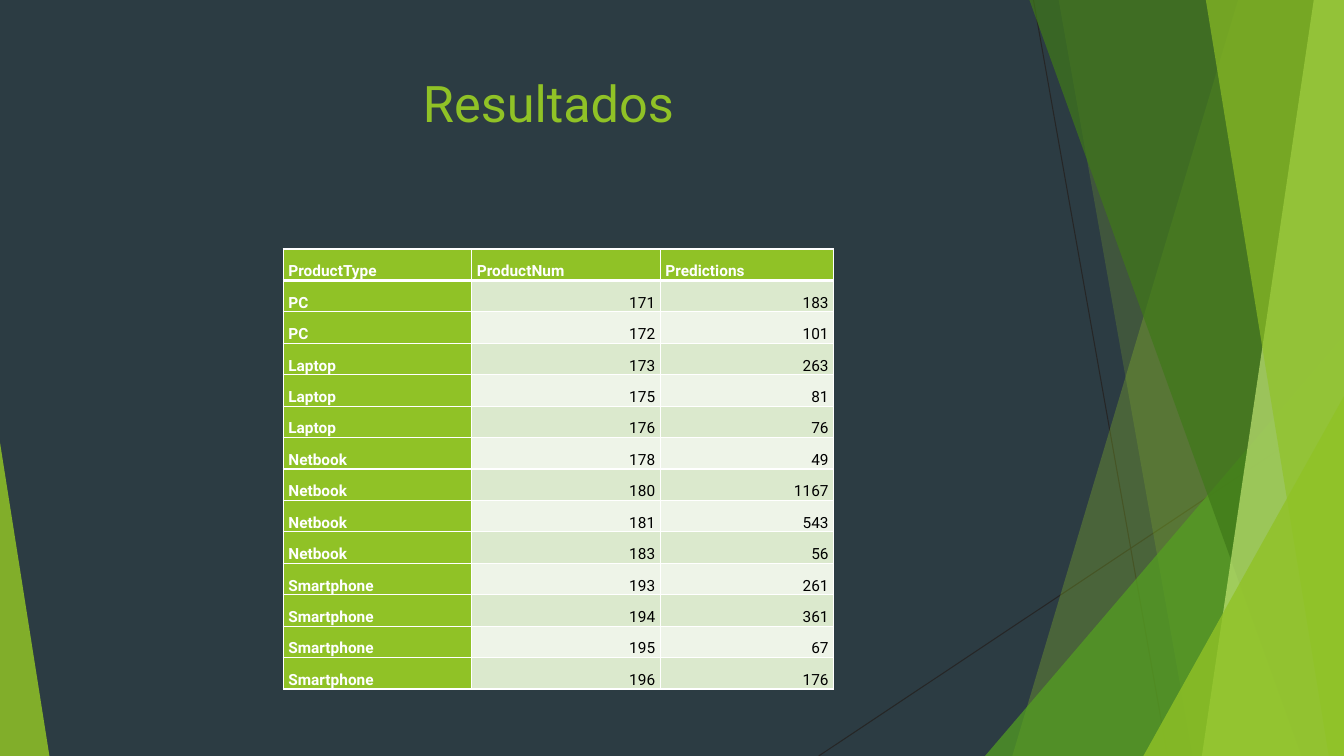
from lxml import etree
from pptx import Presentation
from pptx.dml.color import RGBColor
from pptx.enum.shapes import MSO_CONNECTOR, MSO_SHAPE
from pptx.enum.text import MSO_ANCHOR, PP_ALIGN
from pptx.oxml import parse_xml
from pptx.oxml.ns import nsdecls, qn
from pptx.util import Inches, Pt

WIDTH, HEIGHT = 13.33, 7.5
FONT = "Roboto"
BACKGROUND = RGBColor(0x2C, 0x3C, 0x43)
LIME = RGBColor(0x90, 0xC2, 0x26)
GREEN = RGBColor(0x54, 0xA0, 0x21)
FOREST = RGBColor(0x3F, 0x78, 0x19)
PALE_LIME = RGBColor(0xC0, 0xE4, 0x74)
ROW_TINTS = (RGBColor(0xDB, 0xE9, 0xCD), RGBColor(0xEE, 0xF4, 0xE8))
LINE_GRAY = RGBColor(0x26, 0x26, 0x26)
WHITE = RGBColor(0xFF, 0xFF, 0xFF)
BLACK = RGBColor(0, 0, 0)


def paint(shape, color, opacity):
    """Give a shape a see-through fill without outline or shadow."""
    shape.shadow.inherit = False
    shape.line.fill.background()
    shape.fill.solid()
    shape.fill.fore_color.rgb = color
    color_element = shape.fill._xPr.find(qn("a:solidFill"))[0]
    etree.SubElement(color_element, qn("a:alpha"), val=str(opacity * 1000))


def set_borders(cell, top, bottom):
    """Draw white cell borders; top and bottom are widths in points."""
    sides = (("lnL", 1), ("lnR", 1), ("lnT", top), ("lnB", bottom))
    for position, (side, points) in enumerate(sides):
        cell._tc.get_or_add_tcPr().insert(position, parse_xml(
            f'<a:{side} {nsdecls("a")} w="{Pt(points)}"><a:solidFill>'
            f'<a:srgbClr val="{WHITE}"/></a:solidFill></a:{side}>'))


presentation = Presentation()
presentation.slide_width = Inches(WIDTH)
presentation.slide_height = Inches(HEIGHT)
slide = presentation.slides.add_slide(presentation.slide_layouts[5])
slide.background.fill.solid()
slide.background.fill.fore_color.rgb = BACKGROUND

# Thin lines behind the facets
for ends in ((10.25, 0, 11.58, HEIGHT), (WIDTH, 4.03, 8.12, HEIGHT)):
    connector = slide.shapes.add_connector(
        MSO_CONNECTOR.STRAIGHT, *[Inches(value) for value in ends])
    connector.line.color.rgb = LINE_GRAY
    connector.line.width = Pt(0.75)
    etree.SubElement(connector._element.spPr, qn("a:effectLst"))

# Facets from back to front. A band reaches the right edge: top x, bottom x.
# A triangle stands on the bottom edge: left, top, right, apex share.
facets = (
    ((12.28, 10.04), LIME, 30),
    ((10.5, 11.83), LIME, 20),
    ((9.77, 3.33, WIDTH, 1), GREEN, 72),
    ((10.21, 12.91), FOREST, 70),
    ((13.03, 11.92), PALE_LIME, 70),
    ((11.96, 13.18), LIME, 65),
    ((11.34, 3.93, WIDTH, 1), LIME, 80),
    ((0, 4.39, 0.49, 0), LIME, 85),
)
for geometry, color, opacity in facets:
    if len(geometry) == 2:
        top_x, bottom_x = geometry
        builder = slide.shapes.build_freeform(Inches(top_x), 0)
        corners = ((WIDTH, 0), (WIDTH, HEIGHT), (bottom_x, HEIGHT))
        builder.add_line_segments([(Inches(x), Inches(y)) for x, y in corners])
        facet = builder.convert_to_shape()
    else:
        left, top, right, apex = geometry
        facet = slide.shapes.add_shape(
            MSO_SHAPE.ISOSCELES_TRIANGLE, Inches(left), Inches(top),
            Inches(right - left), Inches(HEIGHT - top))
        facet.adjustments[0] = apex
    paint(facet, color, opacity)

title = slide.shapes.title
title.left, title.top = Inches(0.74), Inches(0.67)
title.width, title.height = Inches(9.4), Inches(1.44)
title.text_frame.text = "Resultados"
title.text_frame.vertical_anchor = MSO_ANCHOR.TOP
paragraph = title.text_frame.paragraphs[0]
paragraph.alignment = PP_ALIGN.CENTER
paragraph.font.name = FONT
paragraph.font.size = Pt(36)
paragraph.font.color.rgb = LIME

rows = (
    ("ProductType", "ProductNum", "Predictions"),
    ("PC", 171, 183),
    ("PC", 172, 101),
    ("Laptop", 173, 263),
    ("Laptop", 175, 81),
    ("Laptop", 176, 76),
    ("Netbook", 178, 49),
    ("Netbook", 180, 1167),
    ("Netbook", 181, 543),
    ("Netbook", 183, 56),
    ("Smartphone", 193, 261),
    ("Smartphone", 194, 361),
    ("Smartphone", 195, 67),
    ("Smartphone", 196, 176),
)
column_widths = (1.87, 1.87, 1.72)
table = slide.shapes.add_table(
    len(rows), len(column_widths), Inches(2.81), Inches(2.47),
    Inches(sum(column_widths)), Inches(4.37)).table
for column, width in zip(table.columns, column_widths):
    column.width = Inches(width)

for row_index, row in enumerate(rows):
    for column_index, value in enumerate(row):
        is_heading = row_index == 0 or column_index == 0
        cell = table.cell(row_index, column_index)
        cell.text = str(value)
        cell.vertical_anchor = MSO_ANCHOR.BOTTOM
        cell.margin_left = cell.margin_right = Inches(0.05)
        cell.margin_top = cell.margin_bottom = 0
        cell.fill.solid()
        cell.fill.fore_color.rgb = LIME if is_heading else ROW_TINTS[(row_index - 1) % 2]
        set_borders(cell, top=3 if row_index == 1 else 1, bottom=3 if row_index == 0 else 1)
        paragraph = cell.text_frame.paragraphs[0]
        paragraph.alignment = PP_ALIGN.LEFT if is_heading else PP_ALIGN.RIGHT
        paragraph.line_spacing = 1.07
        paragraph.font.name = FONT
        paragraph.font.size = Pt(11)
        paragraph.font.bold = is_heading
        paragraph.font.color.rgb = WHITE if is_heading else BLACK

presentation.save("out.pptx")
